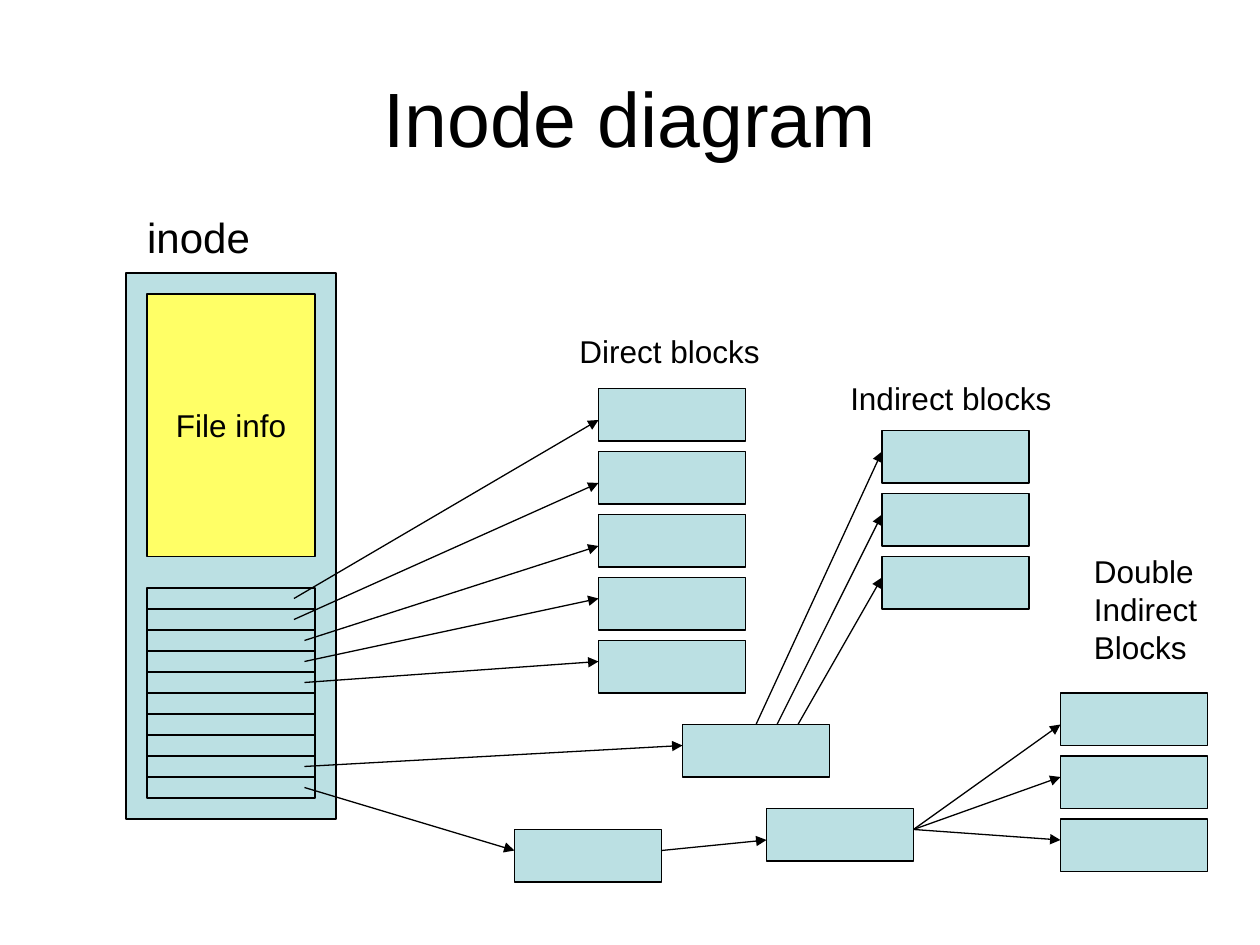
from lxml.etree import SubElement
from pptx import Presentation
from pptx.dml.color import RGBColor
from pptx.enum.shapes import MSO_CONNECTOR as Connector, MSO_SHAPE as Shape
from pptx.enum.text import MSO_ANCHOR as Anchor, MSO_AUTO_SIZE as AutoSize, PP_ALIGN as Align
from pptx.oxml.ns import qn
from pptx.util import Pt

COLORS = {"ink": "000000", "block": "BBE0E3", "info": "FFFF66"}
FONT = "Arial"
LINE_WIDTH = 0.75
BLOCK_WIDTH, BLOCK_HEIGHT, BLOCK_STEP = 84, 30, 36
ENTRY_LEFT, ENTRY_TOP, ENTRY_WIDTH, ENTRY_HEIGHT = 84, 336, 96, 12


def color(name):
    return RGBColor.from_string(COLORS[name])


class Diagram:
    def __init__(self, slide):
        self.slide = slide

    def set_text(self, frame, text, size, align=Align.LEFT, anchor=Anchor.TOP):
        frame.text = text
        frame.vertical_anchor = anchor
        for paragraph in frame.paragraphs:
            paragraph.alignment = align
            paragraph.font.name = FONT
            paragraph.font.size = Pt(size)
            paragraph.font.color.rgb = color("ink")

    def outline(self, line):
        line.color.rgb = color("ink")
        line.width = Pt(LINE_WIDTH)

    def title(self, text, left, top, width, height):
        title = self.slide.shapes.title
        title.left, title.top = Pt(left), Pt(top)
        title.width, title.height = Pt(width), Pt(height)
        self.set_text(title.text_frame, text, 44, Align.CENTER, Anchor.MIDDLE)

    def label(self, text, left, top, width, height, size=18):
        box = self.slide.shapes.add_textbox(Pt(left), Pt(top), Pt(width), Pt(height))
        box.text_frame.word_wrap = False
        box.text_frame.auto_size = AutoSize.SHAPE_TO_FIT_TEXT
        self.set_text(box.text_frame, text, size)

    def box(self, left, top, width=BLOCK_WIDTH, height=BLOCK_HEIGHT, fill="block", text=None):
        shape = self.slide.shapes.add_shape(
            Shape.RECTANGLE, Pt(left), Pt(top), Pt(width), Pt(height))
        shape.shadow.inherit = False
        shape.fill.solid()
        shape.fill.fore_color.rgb = color(fill)
        self.outline(shape.line)
        if text:
            shape.text_frame.word_wrap = False
            self.set_text(shape.text_frame, text, 18, Align.CENTER, Anchor.MIDDLE)

    def stack(self, left, top, count):
        for index in range(count):
            self.box(left, top + index * BLOCK_STEP)

    def arrow(self, start, end):
        connector = self.slide.shapes.add_connector(
            Connector.STRAIGHT, *(Pt(value) for value in (*start, *end)))
        self.outline(connector.line)
        properties = connector._element.spPr
        SubElement(properties.find(qn("a:ln")), qn("a:tailEnd"), type="triangle")
        SubElement(properties, qn("a:effectLst"))


presentation = Presentation()
presentation.slide_width, presentation.slide_height = Pt(720), Pt(540)
slide = presentation.slides.add_slide(presentation.slide_layouts[5])
diagram = Diagram(slide)

diagram.title("Inode diagram", 36, 21.6, 648, 90)
diagram.label("inode", 77, 117.5, 73.5, 36, size=24)
diagram.box(72, 156, 120, 312)
diagram.box(84, 168, 96, 150, fill="info", text="File info")
for index in range(10):
    diagram.box(ENTRY_LEFT, ENTRY_TOP + index * ENTRY_HEIGHT, ENTRY_WIDTH, ENTRY_HEIGHT)

diagram.label("Direct blocks", 324, 186, 117.5, 29)
diagram.label("Indirect blocks", 478.8, 213, 129.5, 29)
diagram.label("Double\nIndirect \nBlocks", 618, 312, 78.5, 72)

for left, top, count in [
    (342, 222, 5), (504, 246, 3), (606, 396, 3),
    (390, 414, 1), (438, 462, 1), (294, 474, 1),
]:
    diagram.stack(left, top, count)

entry_targets = [
    (0, 168, (342, 240)), (1, 168, (342, 276)), (2, 174, (342, 312)),
    (3, 174, (342, 342)), (4, 174, (342, 378)),
    (8, 174, (390, 426)), (9, 174, (294, 486)),
]
for entry, left, target in entry_targets:
    diagram.arrow((left, ENTRY_TOP + (entry + 0.5) * ENTRY_HEIGHT), target)
for index in range(3):
    diagram.arrow((432 + 12 * index, 414), (504, 258 + index * BLOCK_STEP))
for target_top in (414, 444, 480):
    diagram.arrow((522, 474), (606, target_top))
diagram.arrow((378, 486), (438, 480))

presentation.save("out.pptx")
